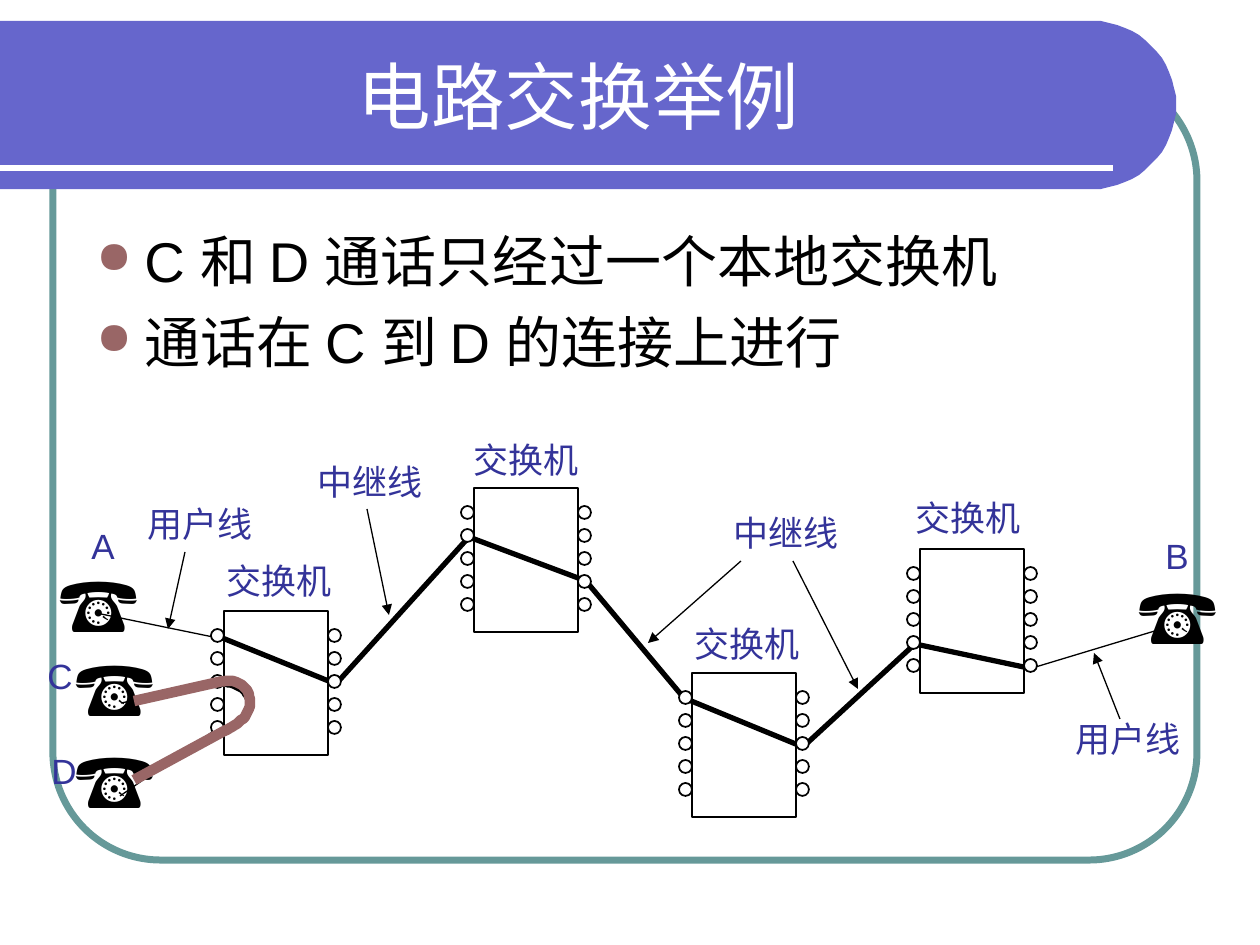
import lxml.etree
import pptx
import pptx.dml.color
import pptx.enum.shapes
import pptx.enum.text
import pptx.oxml.ns
import pptx.util

RGB = pptx.dml.color.RGBColor
SHAPE = pptx.enum.shapes.MSO_SHAPE
ALIGN = pptx.enum.text.PP_ALIGN
qn = pptx.oxml.ns.qn

BLACK = RGB(0x00, 0x00, 0x00)
WHITE = RGB(0xFF, 0xFF, 0xFF)
VIOLET = RGB(0x66, 0x66, 0xCC)
TEAL = RGB(0x66, 0x99, 0x99)
ROSE = RGB(0x99, 0x66, 0x66)
NAVY = RGB(0x33, 0x33, 0x99)

EMU_PER_PX = 914400 / 126


def px(n):
    return pptx.util.Emu(round(n * EMU_PER_PX))


def cubic(p0, p1, p2, p3, steps=16):
    """Points along a cubic Bézier curve, both ends included."""
    points = []
    for i in range(steps + 1):
        t = i / steps
        weights = ((1 - t) ** 3, 3 * t * (1 - t) ** 2, 3 * t * t * (1 - t), t ** 3)
        points.append(tuple(sum(w * p[axis] for w, p in zip(weights, (p0, p1, p2, p3)))
                            for axis in (0, 1)))
    return points


class Board:
    """Holds the current slide and its text style; lengths are px."""

    label_font = "Times New Roman"
    main_font = "Arial"

    def __init__(self, slide):
        self.s = slide

    def paint(self, sp, fill=None, line=None, weight=1):
        sp.shadow.inherit = False
        if fill is None:
            sp.fill.background()
        else:
            sp.fill.solid()
            sp.fill.fore_color.rgb = fill
        if line is None:
            sp.line.fill.background()
        else:
            sp.line.color.rgb = line
            sp.line.width = pptx.util.Pt(weight)
        return sp

    def shape(self, kind, x, y, w, h, **style):
        sp = self.s.shapes.add_shape(kind, px(x), px(y), px(w), px(h))
        return self.paint(sp, **style)

    def outline(self, points, close=False, **style):
        builder = self.s.shapes.build_freeform(*points[0], scale=EMU_PER_PX)
        builder.add_line_segments(points[1:], close=close)
        return self.paint(builder.convert_to_shape(), **style)

    def line(self, start, end, color=BLACK, weight=0.75, arrow=False):
        ends = [px(n) for n in (*start, *end)]
        cx = self.s.shapes.add_connector(pptx.enum.shapes.MSO_CONNECTOR.STRAIGHT, *ends)
        cx.line.color.rgb = color
        cx.line.width = pptx.util.Pt(weight)
        sp_pr = cx.element.spPr
        if arrow:
            lxml.etree.SubElement(sp_pr.find(qn("a:ln")), qn("a:tailEnd"), type="triangle")
        lxml.etree.SubElement(sp_pr, qn("a:effectLst"))

    def run(self, p, text, size, font, color):
        r = p.add_run()
        r.text = text
        r.font.size = pptx.util.Pt(size)
        r.font.name = font
        r.font.color.rgb = color

    def title(self, text, x, y, w, h):
        sp = self.s.shapes.title
        sp.element.getparent().append(sp.element)  # in front of the banner
        sp.left, sp.top, sp.width, sp.height = px(x), px(y), px(w), px(h)
        tf = sp.text_frame
        tf.vertical_anchor = pptx.enum.text.MSO_ANCHOR.MIDDLE
        p = tf.paragraphs[0]
        p.alignment = ALIGN.CENTER
        self.run(p, text, 42, self.main_font, WHITE)

    def bullets(self, items, x, y, w, h):
        tf = self.s.shapes.add_textbox(px(x), px(y), px(w), px(h)).text_frame
        tf.word_wrap = True
        indent = pptx.util.Inches(0.38)
        for i, text in enumerate(items):
            p = tf.add_paragraph() if i else tf.paragraphs[0]
            if i:
                p.space_before = pptx.util.Pt(8)
            p_pr = p._p.get_or_add_pPr()
            p_pr.set("marL", str(indent))
            p_pr.set("indent", str(-indent))
            color = lxml.etree.SubElement(p_pr, qn("a:buClr"))
            lxml.etree.SubElement(color, qn("a:srgbClr"), val=str(ROSE))
            lxml.etree.SubElement(p_pr, qn("a:buSzPct"), val="80000")
            lxml.etree.SubElement(p_pr, qn("a:buChar"), char="●")
            self.run(p, text, 32, self.main_font, BLACK)

    def label(self, text, x, y, w, h=55, size=20, font=label_font, color=NAVY):
        tf = self.s.shapes.add_textbox(px(x), px(y), px(w), px(h)).text_frame
        tf.word_wrap = False
        tf.auto_size = pptx.enum.text.MSO_AUTO_SIZE.SHAPE_TO_FIT_TEXT
        self.run(tf.paragraphs[0], text, size, font, color)

    def phone(self, x, y):
        self.label("☎", x, y, 106, 106, size=44, font=self.main_font, color=BLACK)

    def switch(self, x, y):
        """A switch box with five ports on either side."""
        width, port = 104, 13
        self.shape(SHAPE.RECTANGLE, x, y, width, 144, line=BLACK)
        for port_x in (x - port, x + width):
            for row in range(5):
                self.shape(SHAPE.OVAL, port_x, y + 18 + 23 * row, port, port,
                           fill=WHITE, line=BLACK)


def main():
    prs = pptx.Presentation()
    prs.slide_width, prs.slide_height = px(1260), px(945)
    board = Board(prs.slides.add_slide(prs.slide_layouts[5]))

    frame = board.shape(SHAPE.ROUNDED_RECTANGLE, 53, 73, 1144, 787, line=TEAL, weight=4)
    frame.adjustments[0] = 0.137
    banner = [(0, 21),
              *cubic((1092, 21), (1138, 21), (1176, 59), (1176, 105)),
              *cubic((1176, 105), (1176, 151), (1138, 189), (1092, 189)),
              (0, 189)]
    board.outline(banner, close=True, fill=VIOLET)
    board.line((0, 168), (1113, 168), WHITE, 3)
    board.title("电路交换举例", 26, 32, 1105, 126)
    board.bullets(["C 和 D 通话只经过一个本地交换机", "通话在 C 到 D 的连接上进行"],
                  84, 220, 1092, 609)

    local_loop = (cubic((222, 684), (238, 685), (248, 693), (248, 704))
                  + cubic((248, 704), (248, 718), (237, 728), (219, 728)))
    board.outline(local_loop, line=BLACK, weight=3)
    for start, end in [((120, 796), (218, 728)), ((121, 703), (219, 684)),
                       ((1029, 669), (1158, 630)), ((101, 614), (218, 638))]:
        board.line(start, end)
    a_to_b = [(215, 635), (336, 684), (469, 537), (586, 581), (684, 698),
              (803, 747), (915, 644), (1033, 669)]
    board.outline(a_to_b, line=BLACK, weight=3)

    for x, y in [(224, 611), (474, 488), (692, 673), (920, 549)]:
        board.switch(x, y)
    for x, y in [(47, 549), (1126, 561), (63, 633), (63, 725)]:
        board.phone(x, y)
    for start, end in [((185, 552), (168, 629)), ((1120, 719), (1094, 653)),
                       ((741, 561), (648, 643)), ((793, 561), (858, 689)),
                       ((367, 509), (389, 615))]:
        board.line(start, end, arrow=True)

    for text, places in [
        ("交换机", [(214, 553), (461, 432), (682, 616), (903, 490)]),
        ("用户线", [(135, 496), (1063, 711)]),
        ("中继线", [(721, 505), (305, 454)]),
    ]:
        for x, y in places:
            board.label(text, x, y, 130)
    for text, x, y in [("B", 1153, 528), ("D", 39, 743), ("C", 35, 648), ("A", 79, 518)]:
        board.label(text, x, y, 49, font=board.main_font)

    c_to_d = (cubic((222, 682), (238, 678), (250, 688), (250, 701))
              + cubic((250, 701), (250, 716), (240, 723), (224, 731)))
    board.outline(c_to_d, line=ROSE, weight=6)
    board.line((134, 701), (223, 681), ROSE, 6)
    board.line((134, 780), (226, 730), ROSE, 6)

    prs.save("out.pptx")


if __name__ == "__main__":
    main()
